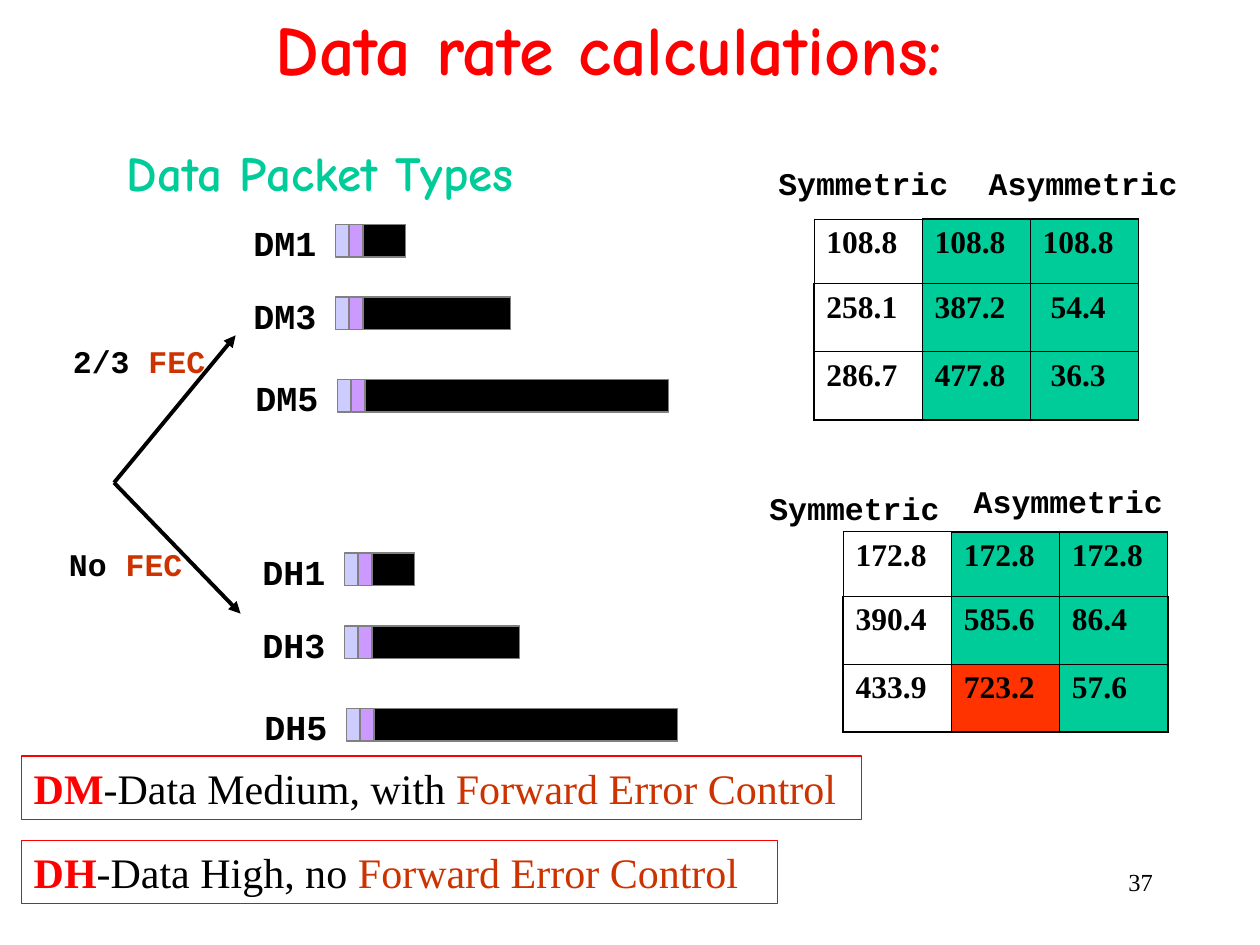
from lxml import etree
from pptx import Presentation
from pptx import util as u
from pptx.dml.color import RGBColor
from pptx.enum import shapes, text
from pptx.oxml import ns

BLACK = RGBColor(0x00, 0x00, 0x00)
RED = RGBColor(0xFF, 0x00, 0x00)
GREEN = RGBColor(0x00, 0xCC, 0x99)
RUST = RGBColor(0xCC, 0x33, 0x00)
ORANGE = RGBColor(0xFF, 0x33, 0x00)
LAVENDER = RGBColor(0xCC, 0xCC, 0xFF)
PURPLE = RGBColor(0xCC, 0x99, 0xFF)
GRAY = RGBColor(0x80, 0x80, 0x80)

COMIC, COURIER, TIMES = "Comic Neue", "Courier New", "Times New Roman"
LEFT, CENTER, RIGHT = text.PP_ALIGN.LEFT, text.PP_ALIGN.CENTER, text.PP_ALIGN.RIGHT
FORMATS = {
    "title": {"name": COMIC, "size": u.Pt(40), "bold": True},
    "heading": {"name": COMIC, "size": u.Pt(28), "bold": True},
    "packet": {"name": COURIER, "size": u.Pt(20), "bold": True},
    "label": {"name": COURIER, "size": u.Pt(18), "bold": True},
    "cell": {"name": TIMES, "size": u.Pt(18), "bold": True},
    "term": {"name": TIMES, "size": u.Pt(24), "bold": True},
    "note": {"name": TIMES, "size": u.Pt(24), "bold": False},
    "number": {"name": TIMES, "size": u.Pt(14), "bold": False},
}


def place(left, top, width, height):
    return [u.Cm(value) for value in (left, top, width, height)]


class SlideBuilder:
    """Holds the style and the slide being drawn."""

    def __init__(self, slide):
        self.slide = slide

    def add_spans(self, frame, spans, align=LEFT):
        """Fill a frame's first paragraph with (words, format, colour) spans."""
        para = frame.paragraphs[0]
        para.alignment = align
        for words, style, color in spans:
            span = para.add_run()
            span.text = words
            for name, value in FORMATS[style].items():
                setattr(span.font, name, value)
            span.font.color.rgb = color

    def title(self, words, area):
        box = self.slide.shapes.title
        box.left, box.top, box.width, box.height = place(*area)
        box.text_frame.auto_size = text.MSO_AUTO_SIZE.NONE
        box.text_frame.vertical_anchor = text.MSO_ANCHOR.MIDDLE
        self.add_spans(box.text_frame, [(words, "title", RED)], CENTER)

    def text_box(self, area, spans, align=LEFT, wrap=False,
                 anchor=text.MSO_ANCHOR.TOP, parent=None):
        box = (parent or self.slide).shapes.add_textbox(*place(*area))
        frame = box.text_frame
        frame.word_wrap = wrap
        frame.vertical_anchor = anchor
        if not wrap:
            frame.auto_size = text.MSO_AUTO_SIZE.SHAPE_TO_FIT_TEXT
        self.add_spans(frame, spans, align)

    def rectangle(self, area, fill, line, parent=None):
        box = (parent or self.slide).shapes.add_shape(
            shapes.MSO_SHAPE.RECTANGLE, *place(*area))
        box.shadow.inherit = False
        if fill is None:
            box.fill.background()
        else:
            box.fill.solid()
            box.fill.fore_color.rgb = fill
        box.line.color.rgb = line
        box.line.width = u.Pt(0.75)
        return box

    def packets(self, family, shift_x, shift_y):
        """Three packets, each a label, two header fields and a payload."""
        group = self.slide.shapes.add_group_shape()
        field, height = 0.28, 0.66
        for slots, left, top, payload in PACKETS:
            left, top = left + shift_x, top + shift_y
            self.text_box((left - 1.9, top - 0.18, 1.78, 1.12),
                          [(f"{family}{slots}", "packet", BLACK)], parent=group)
            for width, fill in ((field, LAVENDER), (field, PURPLE), (payload, BLACK)):
                self.rectangle((left, top, width, height), fill, GRAY, group)
                left += width

    def arrow(self, start, end):
        line = self.slide.shapes.add_connector(
            shapes.MSO_CONNECTOR.STRAIGHT, *place(*start, *end))
        line.line.color.rgb = BLACK
        line.line.width = u.Pt(2.25)
        properties = line._element.spPr
        etree.SubElement(properties.find(ns.qn("a:ln")), ns.qn("a:tailEnd"), type="triangle")
        etree.SubElement(properties, ns.qn("a:effectLst"))

    def border(self, cell, side, points):
        line = etree.SubElement(cell._tc.get_or_add_tcPr(), ns.qn(f"a:ln{side}"),
                                w=str(u.Pt(points)))
        fill = etree.SubElement(line, ns.qn("a:solidFill"))
        etree.SubElement(fill, ns.qn("a:srgbClr"), val=str(BLACK))

    def rate_table(self, left, top, rates, indented=(), peak=None):
        heights = (1.3, 1.37, 1.37)
        area = place(left, top, 3 * 2.18, sum(heights))
        table = self.slide.shapes.add_table(3, 3, *area).table
        table.first_row = table.horz_banding = False
        for column in table.columns:
            column.width = u.Cm(2.18)
        for r, row in enumerate(rates):
            table.rows[r].height = u.Cm(heights[r])
            for c, rate in enumerate(row):
                cell = table.cell(r, c)
                cell.margin_left = u.Cm(0.41 if rate in indented else 0.25)
                # Outer edges are heavier, except around the top corners
                heavy = {"L": c == 0 and r > 0, "R": c == 2 and r > 0,
                         "T": r == 0 and c > 0, "B": r == 2}
                for side, is_heavy in heavy.items():
                    self.border(cell, side, 1.08 if is_heavy else 0.45)
                if c == 0:
                    cell.fill.background()
                else:
                    cell.fill.solid()
                    cell.fill.fore_color.rgb = ORANGE if rate == peak else GREEN
                self.add_spans(cell.text_frame, [(rate, "cell", BLACK)])

    def definition(self, area, term, meaning):
        box = self.rectangle(area, None, RED)
        box.text_frame.vertical_anchor = text.MSO_ANCHOR.TOP
        self.add_spans(box.text_frame, [(term, "term", RED), (meaning, "note", BLACK),
                                        ("Forward Error Control", "note", RUST)])


# Slots, bar left, bar top, payload width
PACKETS = [(1, 6.76, 4.52, 0.86), (3, 6.76, 5.99, 2.97), (5, 6.8, 7.65, 6.12)]


def main():
    deck = Presentation()
    deck.slide_width, deck.slide_height = u.Cm(25.4), u.Cm(19.05)
    page = SlideBuilder(deck.slides.add_slide(deck.slide_layouts[5]))

    # Headings
    page.title("Data rate calculations:", (0, 0, 24.56, 1.9))
    page.text_box((0.64, 2.74, 11.63, 1.47), [("Data Packet Types", "heading", GREEN)],
                  CENTER, True, text.MSO_ANCHOR.MIDDLE)

    # Packet families and the branch between them
    page.packets("DM", 0, 0)
    page.packets("DH", 0.18, 6.63)
    page.arrow((2.3, 9.73), (4.75, 6.76))
    page.arrow((2.3, 9.73), (4.85, 12.37))
    for area, words in (((1.22, 6.78, 3.18, 1.02), "2/3 "),
                        ((1.14, 10.87, 2.8, 1.02), "No ")):
        page.text_box(area, [(words, "label", BLACK), ("FEC", "label", RUST)])

    # Rate tables with their column headings
    for left, top, width, words in ((15.44, 3.18, 3.94, "Symmetric"),
                                    (19.68, 3.18, 4.32, "Asymmetric"),
                                    (15.26, 9.74, 3.94, "Symmetric"),
                                    (19.38, 9.6, 4.32, "Asymmetric")):
        page.text_box((left, top, width, 1.02), [(words, "label", BLACK)])
    page.rate_table(16.41, 4.42, [("108.8", "108.8", "108.8"),
                                  ("258.1", "387.2", "54.4"),
                                  ("286.7", "477.8", "36.3")], indented=("54.4", "36.3"))
    page.rate_table(17, 10.72, [("172.8", "172.8", "172.8"),
                                ("390.4", "585.6", "86.4"),
                                ("433.9", "723.2", "57.6")], peak="723.2")

    # Definitions and page number
    page.definition((0.43, 16.94, 15.24, 1.28), "DH", "-Data High, no ")
    page.definition((0.43, 15.24, 16.94, 1.28), "DM", "-Data Medium, with ")
    page.text_box((18.21, 17.35, 5.28, 1.27), [("37", "number", BLACK)], RIGHT, True)

    deck.save("out.pptx")


if __name__ == "__main__":
    main()
